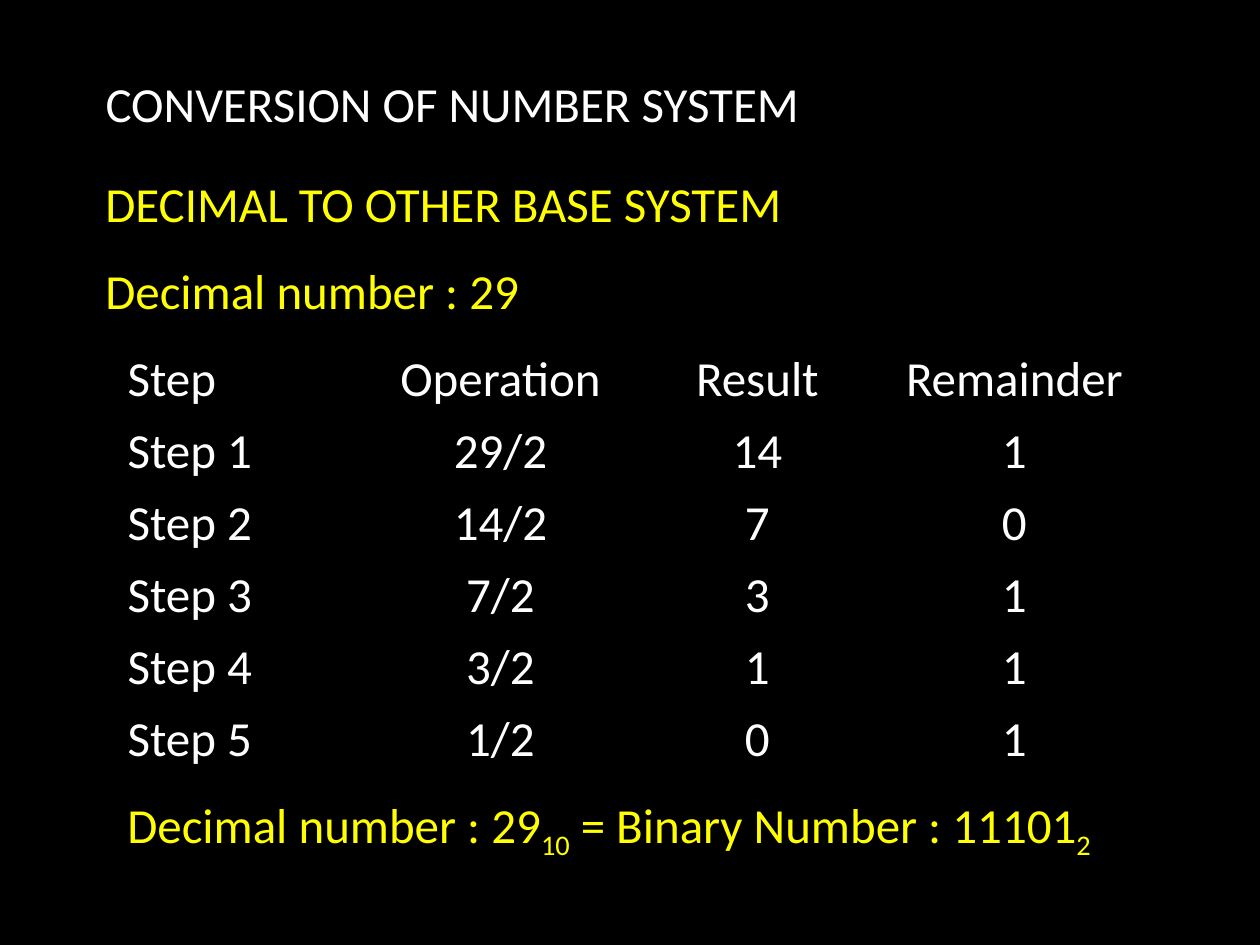
from pptx import Presentation
from pptx.dml.color import RGBColor
from pptx.enum.text import MSO_ANCHOR, PP_ALIGN
from pptx.oxml.ns import qn
from pptx.util import Inches, Pt

COLORS = {"back": "000000", "head": "FFFFFF", "note": "FFFF00"}
PLAIN = "{2D5ABB26-0587-4C30-8999-92F81FD0307C}"  # no style, no grid


def px(n):
    return round(n * Inches(1) / 126)


class Deck:
    font, size = "Calibri", 28

    def __init__(self):
        self.prs = Presentation()
        self.prs.slide_width, self.prs.slide_height = px(1260), px(945)
        self.slide = self.prs.slides.add_slide(self.prs.slide_layouts[5])
        fill = self.slide.background.fill
        fill.solid()
        fill.fore_color.rgb = RGBColor.from_string(COLORS["back"])

    def style(self, para, color, align=PP_ALIGN.LEFT):
        para.alignment = align
        for run in para.runs:
            run.font.name = self.font
            run.font.size = Pt(self.size)
            run.font.color.rgb = RGBColor.from_string(COLORS[color])

    def place(self, shape, box):
        shape.left, shape.top, shape.width, shape.height = map(px, box)
        frame = shape.text_frame
        frame.word_wrap = True
        frame.vertical_anchor = MSO_ANCHOR.MIDDLE
        return frame.paragraphs[0]

    def title(self, text, box):
        para = self.place(self.slide.shapes.title, box)
        para.text = text
        self.style(para, "head")

    def text(self, parts, box):
        """Every second part is a subscript."""
        para = self.place(self.slide.shapes.add_textbox(0, 0, 0, 0), box)
        for i, part in enumerate(parts):
            run = para.add_run()
            run.text = part
            if i % 2:
                run.font._element.set("baseline", "-25000")
        self.style(para, "note")

    def table(self, rows, left, top, wide, high):
        cols = len(rows[0])
        table = self.slide.shapes.add_table(
            len(rows), cols, px(left), px(top),
            px(wide * cols), px(high * len(rows))).table
        table.first_row = table.horz_banding = False
        table._tbl.tblPr.find(qn("a:tableStyleId")).text = PLAIN
        for r, row in enumerate(rows):
            for c, text in enumerate(row):
                cell = table.cell(r, c)
                cell.fill.background()
                para = cell.text_frame.paragraphs[0]
                para.text = text
                self.style(para, "head", PP_ALIGN.CENTER if c else PP_ALIGN.LEFT)


deck = Deck()

# Headings
deck.title("CONVERSION OF NUMBER SYSTEM", (93, 25, 1071, 155))
deck.text(["DECIMAL TO OTHER BASE SYSTEM"], (93, 125, 1071, 155))
deck.text(["Decimal number : 29"], (93, 250, 1071, 80))

# Division steps: halve until nothing is left
rows = [["Step", "Operation", "Result", "Remainder"]]
num = 29
while num:
    half, rest = divmod(num, 2)
    rows.append([f"Step {len(rows)}", f"{num}/2", str(half), str(rest)])
    num = half
deck.table(rows, 115, 344, 257, 72)

# Answer
deck.text(["Decimal number : 29", "10", " = Binary Number : 11101", "2"],
          (115, 788, 1142, 80))

deck.prs.save("out.pptx")
